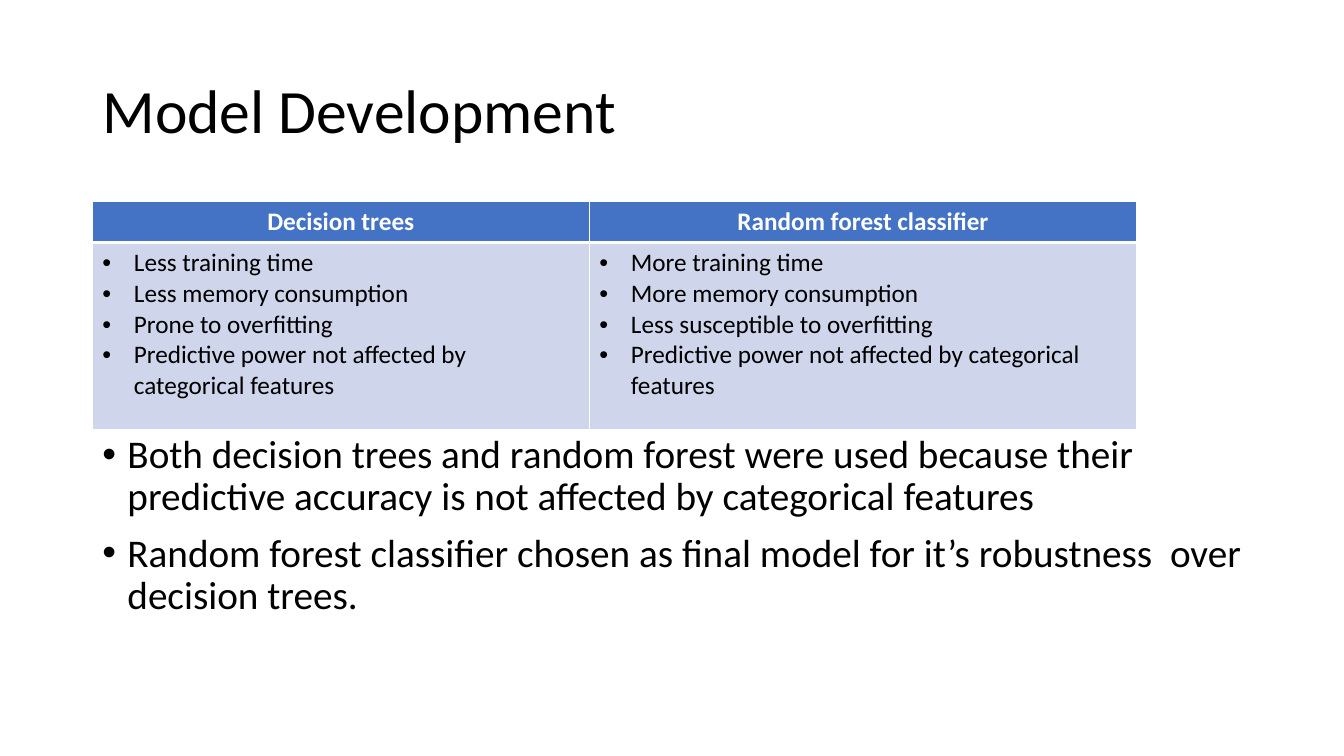
from lxml import etree
from pptx import Presentation
from pptx.dml.color import RGBColor
from pptx.enum.text import MSO_ANCHOR, PP_ALIGN
from pptx.oxml.ns import qn
from pptx.util import Pt

LEFT, CENTER = PP_ALIGN.LEFT, PP_ALIGN.CENTER
MIDDLE, TOP = MSO_ANCHOR.MIDDLE, MSO_ANCHOR.TOP
TITLE_ONLY = 5

FONT = "Calibri"
BLACK = RGBColor(0x00, 0x00, 0x00)
WHITE = RGBColor(0xFF, 0xFF, 0xFF)
BLUE = RGBColor(0x44, 0x72, 0xC4)
PALE_BLUE = RGBColor(0xCF, 0xD5, 0xEA)

MARGIN = Pt(66)
CONTENT_WIDTH = Pt(828)
COLUMN_WIDTHS = (Pt(355), Pt(391))
ROW_HEIGHTS = (Pt(29.2), Pt(134))

MODELS = {
    "Decision trees": [
        "Less training time",
        "Less memory consumption",
        "Prone to overfitting",
        "Predictive power not affected by categorical features",
    ],
    "Random forest classifier": [
        "More training time",
        "More memory consumption",
        "Less susceptible to overfitting",
        "Predictive power not affected by categorical features",
    ],
}
CONCLUSIONS = [
    "Both decision trees and random forest were used because their "
    "predictive accuracy is not affected by categorical features",
    "Random forest classifier chosen as final model for it’s robustness  over "
    "decision trees.",
]


def add_run(p, text, size, color=BLACK, bold=False):
    r = p.add_run()
    r.text = text
    r.font.name = FONT
    r.font.size = Pt(size)
    r.font.color.rgb = color
    r.font.bold = bold


def set_bullet(p, indent):
    pPr = p._p.get_or_add_pPr()
    pPr.set("marL", str(indent))
    pPr.set("indent", str(-indent))
    etree.SubElement(pPr, qn("a:buFont"), typeface="Arial")
    etree.SubElement(pPr, qn("a:buChar"), char="•")


def add_bullets(tf, items, size, indent, line_spacing=None, space_before=None):
    for i, item in enumerate(items):
        p = tf.add_paragraph() if i else tf.paragraphs[0]
        p.alignment = LEFT
        p.line_spacing = line_spacing
        p.space_before = space_before
        set_bullet(p, indent)
        add_run(p, item, size)


def set_borders(cell, top, bottom):
    """Draw white cell borders; call before the fill is set."""
    tcPr = cell._tc.get_or_add_tcPr()
    for side, width in (("L", 1), ("R", 1), ("T", top), ("B", bottom)):
        ln = etree.SubElement(tcPr, qn(f"a:ln{side}"), w=str(Pt(width)))
        fill = etree.SubElement(ln, qn("a:solidFill"))
        etree.SubElement(fill, qn("a:srgbClr"), val=str(WHITE))


def set_fill(cell, color):
    cell.fill.solid()
    cell.fill.fore_color.rgb = color


def add_title(s, text):
    title = s.shapes.title
    title.left, title.top = MARGIN, Pt(28.75)
    title.width, title.height = CONTENT_WIDTH, Pt(104.4)
    tf = title.text_frame
    tf.vertical_anchor = MIDDLE
    p = tf.paragraphs[0]
    p.alignment = LEFT
    p.line_spacing = 0.9
    add_run(p, text, 44)


def add_model_table(s):
    frame = s.shapes.add_table(2, len(MODELS), MARGIN, Pt(144),
                               sum(COLUMN_WIDTHS), sum(ROW_HEIGHTS))
    table = frame.table
    table.horz_banding = False
    for row, height in zip(table.rows, ROW_HEIGHTS):
        row.height = height
    for col, (name, traits) in enumerate(MODELS.items()):
        table.columns[col].width = COLUMN_WIDTHS[col]
        header, body = table.cell(0, col), table.cell(1, col)
        set_borders(header, top=1, bottom=3)
        set_fill(header, BLUE)
        p = header.text_frame.paragraphs[0]
        p.alignment = CENTER
        add_run(p, name, 18, WHITE, bold=True)
        set_borders(body, top=3, bottom=1)
        set_fill(body, PALE_BLUE)
        add_bullets(body.text_frame, traits, 18, Pt(22.5))


def add_conclusions(s):
    box = s.shapes.add_textbox(MARGIN, Pt(307), CONTENT_WIDTH, Pt(180))
    tf = box.text_frame
    tf.word_wrap = True
    tf.vertical_anchor = TOP
    add_bullets(tf, CONCLUSIONS, 28, Pt(18), 0.9, Pt(10))


def main():
    prs = Presentation()
    prs.slide_width, prs.slide_height = Pt(960), Pt(540)
    s = prs.slides.add_slide(prs.slide_layouts[TITLE_ONLY])
    add_title(s, "Model Development")
    add_conclusions(s)
    add_model_table(s)
    prs.save("out.pptx")


if __name__ == "__main__":
    main()
